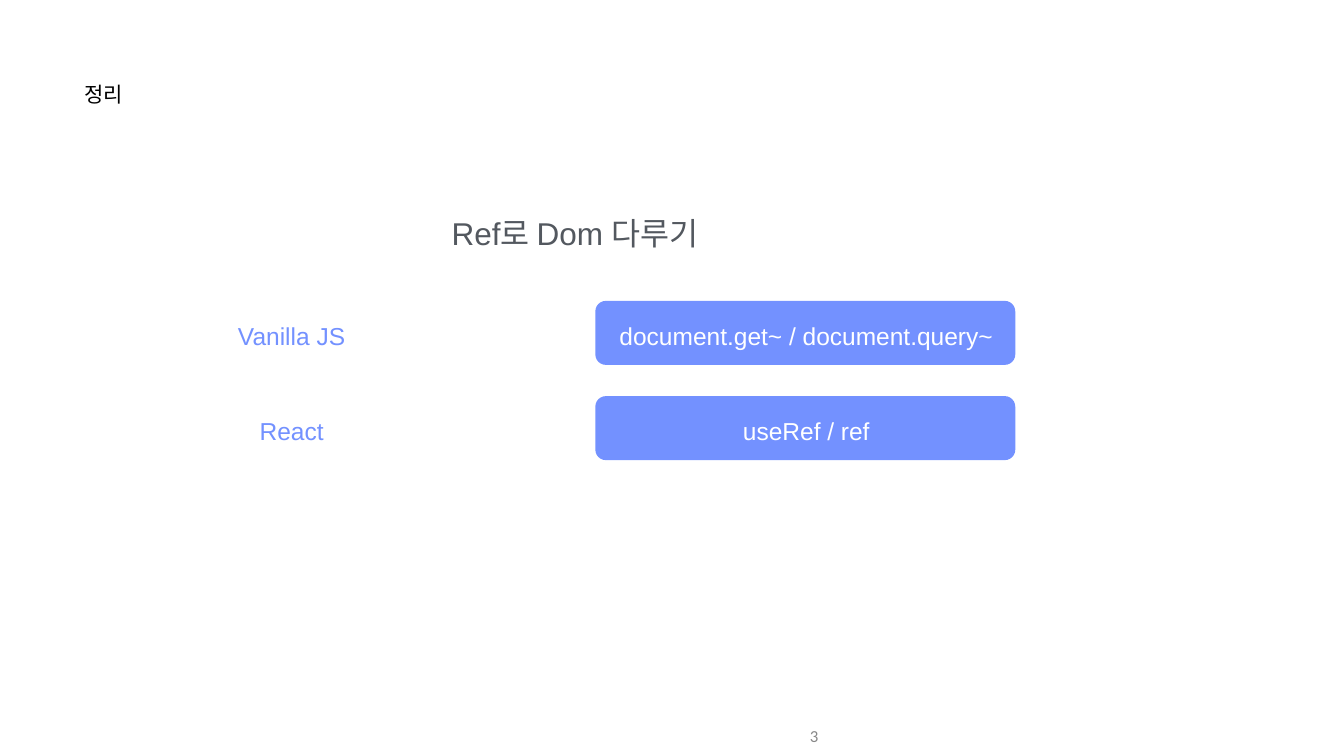
from pptx import Presentation
from pptx.dml.color import RGBColor
from pptx.enum.shapes import MSO_SHAPE
from pptx.enum.text import MSO_ANCHOR, PP_ALIGN
from pptx.util import Inches, Pt

BLUE = RGBColor(0x73, 0x91, 0xFF)
WHITE = RGBColor(0xFF, 0xFF, 0xFF)
BLACK = RGBColor(0x00, 0x00, 0x00)
SLATE = RGBColor(0x53, 0x58, 0x5F)
GRAY = RGBColor(0x88, 0x88, 0x88)

ROWS = [
    ("Vanilla JS", "document.get~ / document.query~"),
    ("React", "useRef / ref"),
]
ROW_TOP, ROW_STEP, ROW_HEIGHT = 5.97, 1.89, 1.27


def write(shape, text, size, color, align, anchor, font="Arial", inset=0.01):
    frame = shape.text_frame
    frame.word_wrap = True
    frame.vertical_anchor = anchor
    frame.margin_left = frame.margin_right = Inches(inset)
    frame.margin_top = frame.margin_bottom = Inches(inset)
    para = frame.paragraphs[0]
    para.alignment = align
    span = para.add_run()
    span.text = text
    span.font.size = Pt(size)
    span.font.name = font
    span.font.color.rgb = color


def add_text(page, box, *style, **options):
    shape = page.shapes.add_textbox(*map(Inches, box))
    write(shape, *style, **options)


def place_title(page, box, text):
    title = page.shapes.title
    title.left, title.top, title.width, title.height = map(Inches, box)
    write(title, text, 30, BLACK, PP_ALIGN.LEFT, MSO_ANCHOR.TOP)


def add_comparison_row(page, box, label, methods):
    left, top, width, height = box
    # Label column, with its text slightly below the middle of the row
    label_height = 0.62
    label_top = top + (height - label_height) / 2 + 0.05
    add_text(page, (left, label_top, 6.25, label_height), label, 35, BLUE,
             PP_ALIGN.CENTER, MSO_ANCHOR.MIDDLE)

    # Rounded bar, flush with the right edge of the row
    bar_width = 8.33
    bar = page.shapes.add_shape(
        MSO_SHAPE.ROUNDED_RECTANGLE, Inches(left + width - bar_width),
        Inches(top), Inches(bar_width), Inches(height))
    bar.adjustments[0] = 0.164
    bar.shadow.inherit = False
    bar.fill.solid()
    bar.fill.fore_color.rgb = BLUE
    bar.line.fill.background()
    write(bar, methods, 35, WHITE, PP_ALIGN.CENTER, MSO_ANCHOR.MIDDLE)
    bar.text_frame.margin_top = Inches(0.11)
    bar.text_frame.margin_left = Inches(0.05)


def main():
    deck = Presentation()
    deck.slide_width, deck.slide_height = Inches(26.66), Inches(15)
    page = deck.slides.add_slide(deck.slide_layouts[5])

    # Title and topic heading
    place_title(page, (1.67, 1.6, 4.86, 1.18), "정리")
    add_text(page, (2.64, 4.24, 17.54, 0.79), "Ref로 Dom 다루기", 45, SLATE,
             PP_ALIGN.CENTER, MSO_ANCHOR.TOP)

    # Comparison of approaches
    for index, (label, methods) in enumerate(ROWS):
        box = (2.66, ROW_TOP + index * ROW_STEP, 17.48, ROW_HEIGHT)
        add_comparison_row(page, box, label, methods)

    # Page number
    add_text(page, (10.33, 14.21, 6, 0.79), "3", 24, GRAY, PP_ALIGN.RIGHT,
             MSO_ANCHOR.MIDDLE, font="Calibri", inset=0.1)

    deck.save("out.pptx")


if __name__ == "__main__":
    main()
